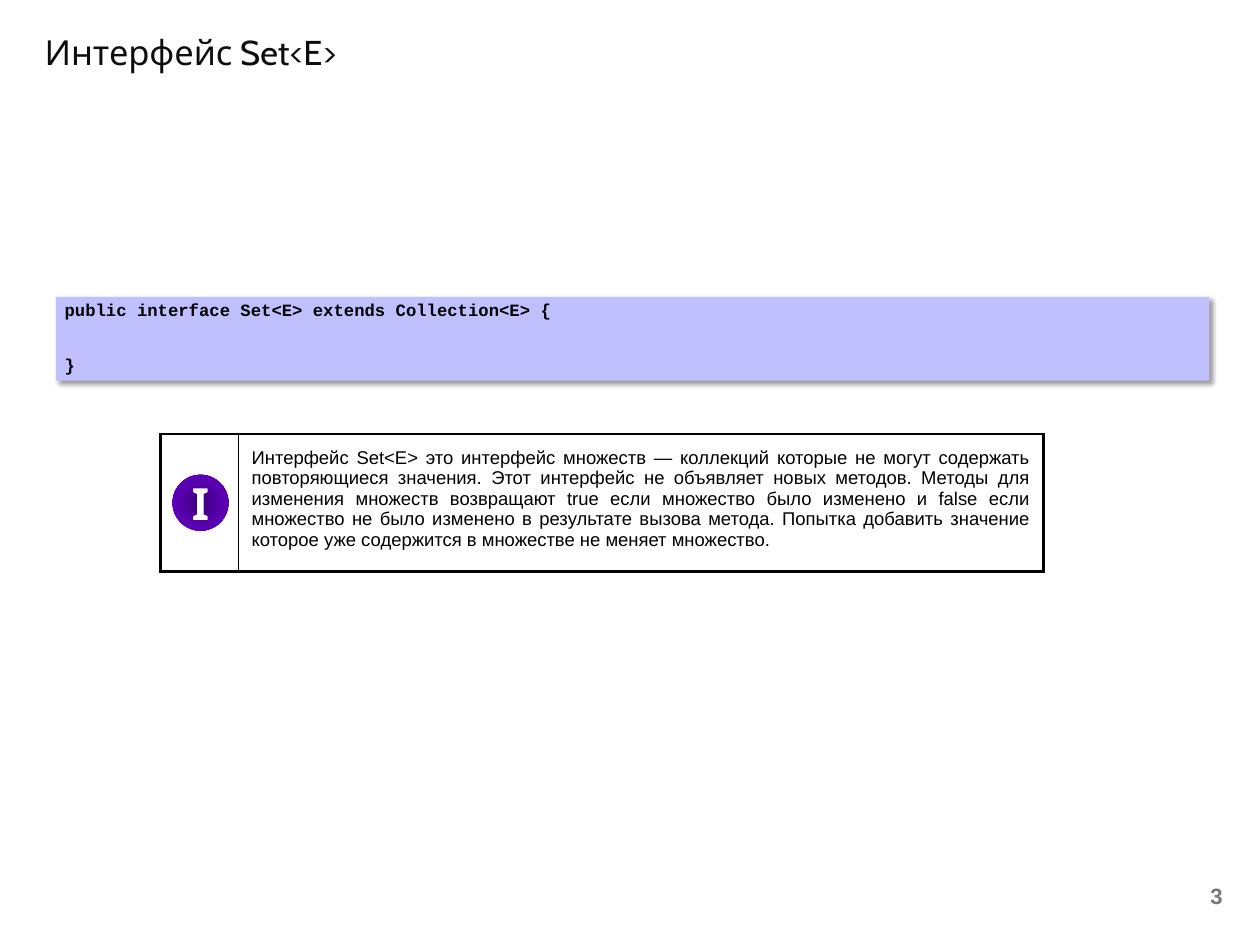
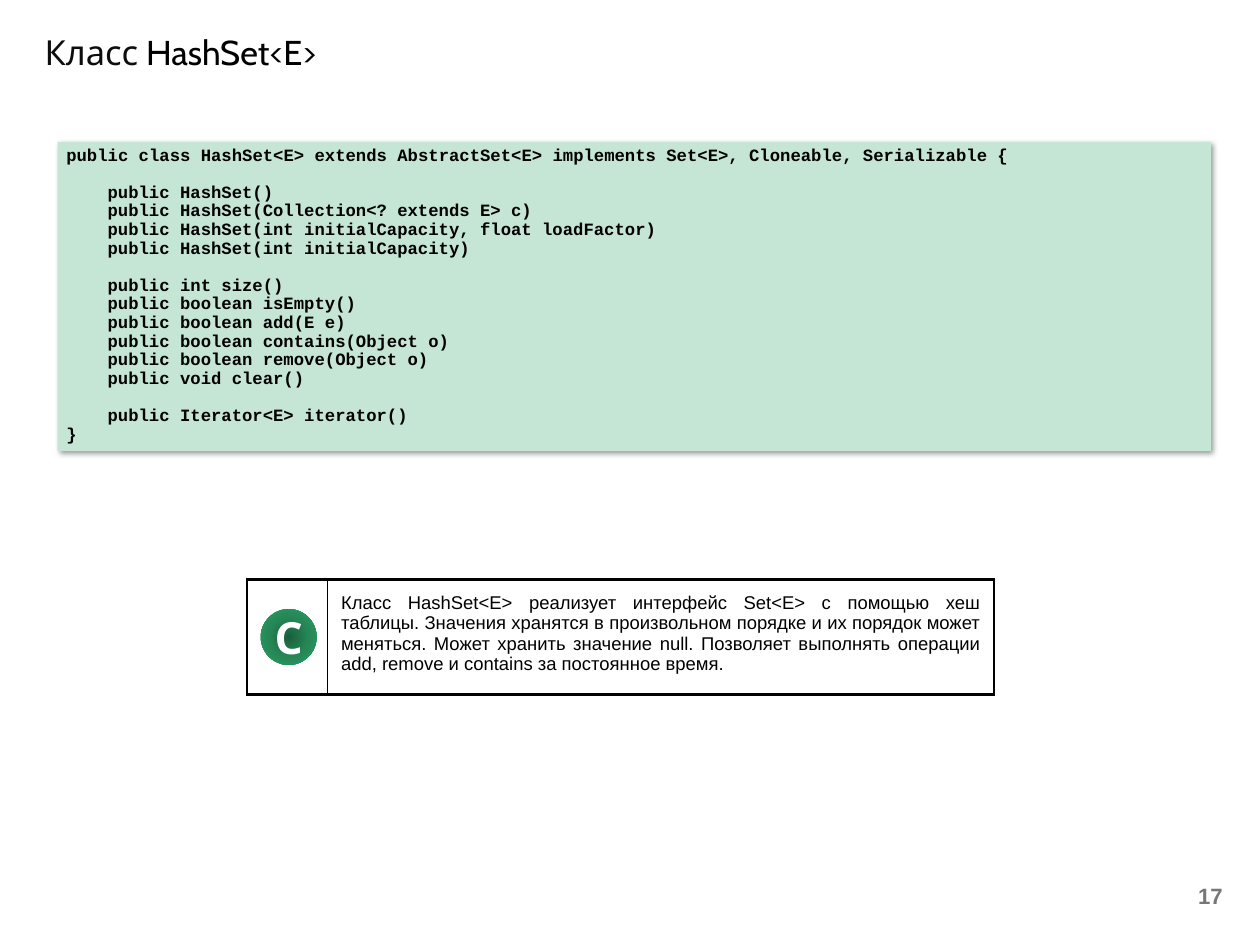
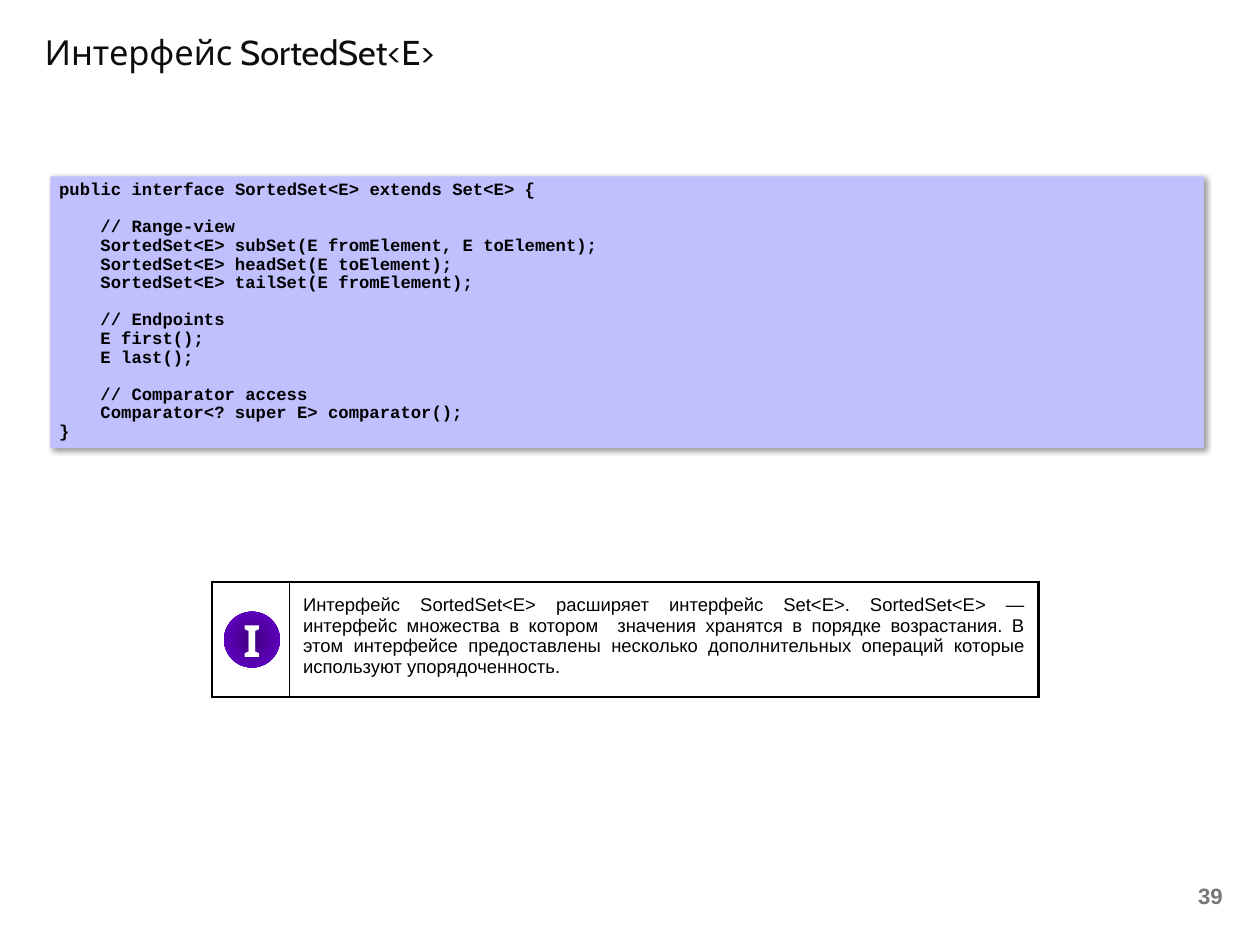
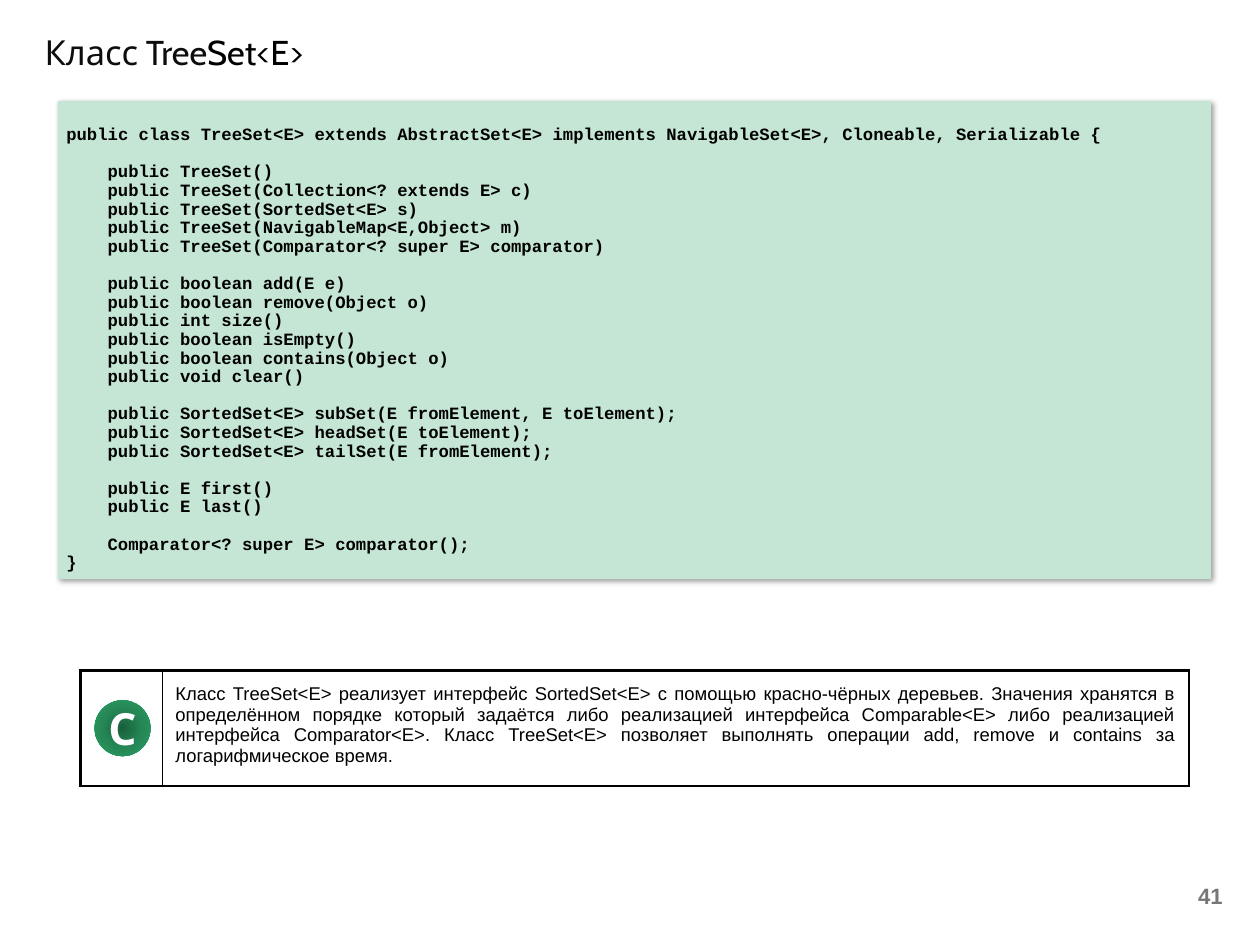
"""Build four slides about the Java set interfaces and classes."""
from dataclasses import dataclass
from typing import NamedTuple

from pptx import Presentation
from pptx.dml.color import RGBColor
from pptx.enum.shapes import MSO_SHAPE
from pptx.enum.text import MSO_ANCHOR, PP_ALIGN
from pptx.oxml import parse_xml
from pptx.oxml.ns import nsdecls, qn
from pptx.util import Pt

BLACK, WHITE, TITLE_INK, NUMBER_INK = "000000", "FFFFFF", "0D0D0D", "777777"
TITLE_FONT = {"name": "Cabin", "size": Pt(28)}
NUMBER_FONT = {"name": "Arial", "size": Pt(18), "bold": True}
CODE_FONT = {"name": "Courier New", "size": Pt(14), "bold": True}
NOTE_FONT = {"name": "Arial", "size": Pt(15)}
BADGE_FONT = {"name": "Noto Sans", "size": Pt(36), "bold": True}
CODE_WIDTH, CODE_LINE, CODE_INDENT = 937.4, 15.26, 33.6
CODE_SPACING, CODE_GAP, CODE_LEAD = 0.9, 15.1, 16.5
INSET, NOTE_INSET, BADGE_SIZE = 3.6, 10.8, 45.4
THICK, THIN = 2.25, 0.5


class Area(NamedTuple):
    """A rectangle in points."""
    left: float
    top: float
    width: float
    height: float


TITLE_AREA = Area(29.2, 21.6, 794, 45.4)
NUMBER_AREA = Area(761.8, 709.2, 239, 38.2)


@dataclass(frozen=True)
class Kind:
    """Colours and letter of one sort of Java type."""
    letter: str
    code_fill: str
    gradient: tuple[str, str, str]


INTERFACE = Kind("I", "C0C0FF", ("3C0079", "5600AC", "6600CC"))
CLASS = Kind("C", "C5E5D5", ("1A5F3C", "258756", "2BA166"))


@dataclass(frozen=True)
class Code:
    """A declaration whose member groups each follow a gap."""
    left: float
    top: float
    header: str
    groups: tuple[tuple[str, ...], ...]
    lead: int = 0


@dataclass(frozen=True)
class Note:
    """A framed explanation with a narrow badge column."""
    area: Area
    badge_column: float
    text: str


@dataclass(frozen=True)
class Topic:
    """Everything that one slide shows."""
    kind: Kind
    title: tuple[tuple[str, str], ...]
    number: int
    code: Code
    note: Note


TOPICS = (
    Topic(
        INTERFACE, (("Интерфейс Set<E>", TITLE_INK),), 3,
        Code(45.4, 241.2, "public interface Set<E> extends Collection<E> {", ((), ())),
        Note(Area(130.3, 352.8, 717.8, 111.6), 63.4,
             "Интерфейс Set<E> это интерфейс множеств — коллекций которые не могут содержать "
             "повторяющиеся значения. Этот интерфейс не объявляет новых методов. Методы для "
             "изменения множеств возвращают true если множество было изменено и false если "
             "множество не было изменено в результате вызова метода. Попытка добавить значение "
             "которое уже содержится в множестве не меняет множество."),
    ),
    Topic(
        CLASS, (("Класс ", TITLE_INK), ("HashSet<E>", BLACK)), 17,
        Code(46.8, 115.2,
             "public class HashSet<E> extends AbstractSet<E> implements Set<E>, Cloneable, Serializable {",
             (("public HashSet()",
               "public HashSet(Collection<? extends E> c)",
               "public HashSet(int initialCapacity, float loadFactor)",
               "public HashSet(int initialCapacity)"),
              ("public int size()",
               "public boolean isEmpty()",
               "public boolean add(E e)",
               "public boolean contains(Object o)",
               "public boolean remove(Object o)",
               "public void clear()"),
              ("public Iterator<E> iterator()",))),
        Note(Area(200.9, 470.9, 607, 93.6), 65.5,
             "Класс HashSet<E> реализует интерфейс Set<E> с помощью хеш таблицы. Значения "
             "хранятся в произвольном порядке и их порядок может меняться. Может хранить "
             "значение null. Позволяет выполнять операции add, remove и contains за "
             "постоянное время."),
    ),
    Topic(
        INTERFACE, (("Интерфейс SortedSet<E>", TITLE_INK),), 39,
        Code(41, 143.3, "public interface SortedSet<E> extends Set<E> {",
             (("// Range-view",
               "SortedSet<E> subSet(E fromElement, E toElement);",
               "SortedSet<E> headSet(E toElement);",
               "SortedSet<E> tailSet(E fromElement);"),
              ("// Endpoints", "E first();", "E last();"),
              ("// Comparator access", "Comparator<? super E> comparator();"))),
        Note(Area(172.1, 473, 671.8, 93.6), 63.4,
             "Интерфейс SortedSet<E> расширяет интерфейс Set<E>. SortedSet<E> — интерфейс "
             "множества в котором  значения хранятся в порядке возрастания. В этом интерфейсе "
             "предоставлены несколько дополнительных операций которые используют "
             "упорядоченность."),
    ),
    Topic(
        CLASS, (("Класс Tree", TITLE_INK), ("Set<E>", BLACK)), 41,
        Code(46.8, 82.1,
             "public class TreeSet<E> extends AbstractSet<E> implements NavigableSet<E>, "
             "Cloneable, Serializable {",
             (("public TreeSet()",
               "public TreeSet(Collection<? extends E> c)",
               "public TreeSet(SortedSet<E> s)",
               "public TreeSet(NavigableMap<E,Object> m)",
               "public TreeSet(Comparator<? super E> comparator)"),
              ("public boolean add(E e)",
               "public boolean remove(Object o)",
               "public int size()",
               "public boolean isEmpty()",
               "public boolean contains(Object o)",
               "public void clear()"),
              ("public SortedSet<E> subSet(E fromElement, E toElement);",
               "public SortedSet<E> headSet(E toElement);",
               "public SortedSet<E> tailSet(E fromElement);"),
              ("public E first()", "public E last()"),
              ("Comparator<? super E> comparator();",)),
             lead=1),
        Note(Area(65.5, 545, 900.7, 93.6), 66.2,
             "Класс TreeSet<E> реализует интерфейс SortedSet<E> с помощью красно-чёрных "
             "деревьев. Значения хранятся в определённом порядке который задаётся либо "
             "реализацией интерфейса Comparable<E> либо реализацией интерфейса Comparator<E>. "
             "Класс TreeSet<E> позволяет выполнять операции add, remove и contains за "
             "логарифмическое время."),
    ),
)


def colour(value: str) -> RGBColor:
    """Turn a hex string into a colour."""
    return RGBColor.from_string(value)


def points(area: Area) -> list[Pt]:
    """Give the four lengths of an area as Pt."""
    return [Pt(length) for length in area]


def apply(target: object, values: dict) -> None:
    """Set each named attribute of the target."""
    for name, value in values.items():
        setattr(target, name, value)


def write(para, text: str, font: dict, ink: str = BLACK) -> None:
    """Add a formatted span to a paragraph."""
    span = para.add_run()
    span.text = text
    apply(span.font, font)
    span.font.color.rgb = colour(ink)


def add_text(page, area: Area, spans: tuple, font: dict, **paragraph_format) -> object:
    """Place a wrapped text box with one paragraph."""
    box = page.shapes.add_textbox(*points(area))
    box.text_frame.word_wrap = True
    para = box.text_frame.paragraphs[0]
    apply(para, paragraph_format)
    for text, ink in spans:
        write(para, text, font, ink)
    return box


def add_plain_shape(page, preset: MSO_SHAPE, area: Area) -> object:
    """Place a preset shape without line or shadow."""
    shape = page.shapes.add_shape(preset, *points(area))
    shape.line.fill.background()
    shape.shadow.inherit = False
    return shape


def add_code(page, code: Code, kind: Kind) -> None:
    """Draw the shadowed panel with the declaration."""
    count = 2 + code.lead + sum(1 + len(group) for group in code.groups)
    area = Area(code.left, code.top, CODE_WIDTH, round(2 * INSET + count * CODE_LINE, 2))
    panel = add_plain_shape(page, MSO_SHAPE.RECTANGLE, area)
    panel.fill.solid()
    panel.fill.fore_color.rgb = colour(kind.code_fill)
    panel.element.spPr.find(qn("a:effectLst")).append(parse_xml(
        f'<a:outerShdw {nsdecls("a")} blurRad="{Pt(4)}" dist="{Pt(3)}" dir="2700000" '
        f'algn="tl" rotWithShape="0"><a:srgbClr val="{BLACK}"><a:alpha val="40000"/>'
        '</a:srgbClr></a:outerShdw>'))
    frame = panel.text_frame
    apply(frame, {"word_wrap": True, "vertical_anchor": MSO_ANCHOR.TOP,
                  "margin_top": Pt(INSET + code.lead * CODE_LEAD)})

    lines = [(code.header, 0, 0)]
    gaps = 0
    for group in code.groups:
        gaps += 1
        for member in group:
            lines.append((member, gaps, CODE_INDENT))
            gaps = 0
    lines.append(("}", gaps, 0))
    for index, (text, gaps, indent) in enumerate(lines):
        para = frame.add_paragraph() if index else frame.paragraphs[0]
        apply(para, {"alignment": PP_ALIGN.LEFT, "line_spacing": CODE_SPACING,
                     "space_before": Pt(gaps * CODE_GAP)})
        if indent:
            para._p.get_or_add_pPr().set("marL", str(Pt(indent)))
        write(para, text, CODE_FONT)


def add_note(page, note: Note) -> None:
    """Draw the framed two-column explanation."""
    graphic = page.shapes.add_table(1, 2, *points(note.area))
    table = graphic.table
    apply(table, {"first_row": False, "horz_banding": False})
    widths = (note.badge_column, note.area.width - note.badge_column)
    for column, width in zip(table.columns, widths):
        column.width = Pt(width)
    sides = ({"L": THICK, "R": THIN}, {"L": THIN, "R": THICK})
    for properties, side in zip(graphic.element.iter(qn("a:tc")), sides):
        for edge, width in {**side, "T": THICK, "B": THICK}.items():
            properties.get_or_add_tcPr().append(parse_xml(
                f'<a:ln{edge} {nsdecls("a")} w="{Pt(width)}"><a:solidFill>'
                f'<a:srgbClr val="{BLACK}"/></a:solidFill></a:ln{edge}>'))
    for cell in table.iter_cells():
        cell.fill.solid()
        cell.fill.fore_color.rgb = colour(WHITE)
    cell = table.cell(0, 1)
    apply(cell, {f"margin_{side}": Pt(NOTE_INSET) for side in ("left", "top", "right", "bottom")})
    para = cell.text_frame.paragraphs[0]
    para.alignment = PP_ALIGN.JUSTIFY
    write(para, note.text, NOTE_FONT)


def add_badge(page, note: Note, kind: Kind) -> None:
    """Centre the round letter badge in the narrow column."""
    left = note.area.left + (note.badge_column - BADGE_SIZE) / 2 + 1
    top = note.area.top + (note.area.height - BADGE_SIZE) / 2
    badge = add_plain_shape(page, MSO_SHAPE.OVAL, Area(left, top, BADGE_SIZE, BADGE_SIZE))
    stops = "".join(f'<a:gs pos="{index * 50000}"><a:srgbClr val="{value}"/></a:gs>'
                    for index, value in enumerate(kind.gradient))
    badge.element.spPr.find(qn("a:prstGeom")).addnext(parse_xml(
        f'<a:gradFill {nsdecls("a")} rotWithShape="1"><a:gsLst>{stops}</a:gsLst>'
        '<a:path path="circle"><a:fillToRect l="50000" t="50000" r="50000" b="50000"/>'
        '</a:path></a:gradFill>'))
    frame = badge.text_frame
    apply(frame, {"margin_left": 0, "margin_top": 0, "margin_right": 0, "margin_bottom": 0,
                  "vertical_anchor": MSO_ANCHOR.MIDDLE})
    para = frame.paragraphs[0]
    para.alignment = PP_ALIGN.CENTER
    write(para, kind.letter, BADGE_FONT, WHITE)


def add_topic(deck, topic: Topic) -> None:
    """Add one complete slide."""
    page = deck.slides.add_slide(deck.slide_layouts[6])
    add_text(page, TITLE_AREA, topic.title, TITLE_FONT)
    number = add_text(page, NUMBER_AREA, ((str(topic.number), NUMBER_INK),), NUMBER_FONT,
                      alignment=PP_ALIGN.RIGHT)
    number.text_frame.vertical_anchor = MSO_ANCHOR.MIDDLE
    add_code(page, topic.code, topic.kind)
    add_note(page, topic.note)
    add_badge(page, topic.note, topic.kind)


def main() -> None:
    """Build and save the deck."""
    deck = Presentation()
    apply(deck, {"slide_width": Pt(1024), "slide_height": Pt(768)})
    for topic in TOPICS:
        add_topic(deck, topic)
    deck.save("out.pptx")


if __name__ == "__main__":
    main()
